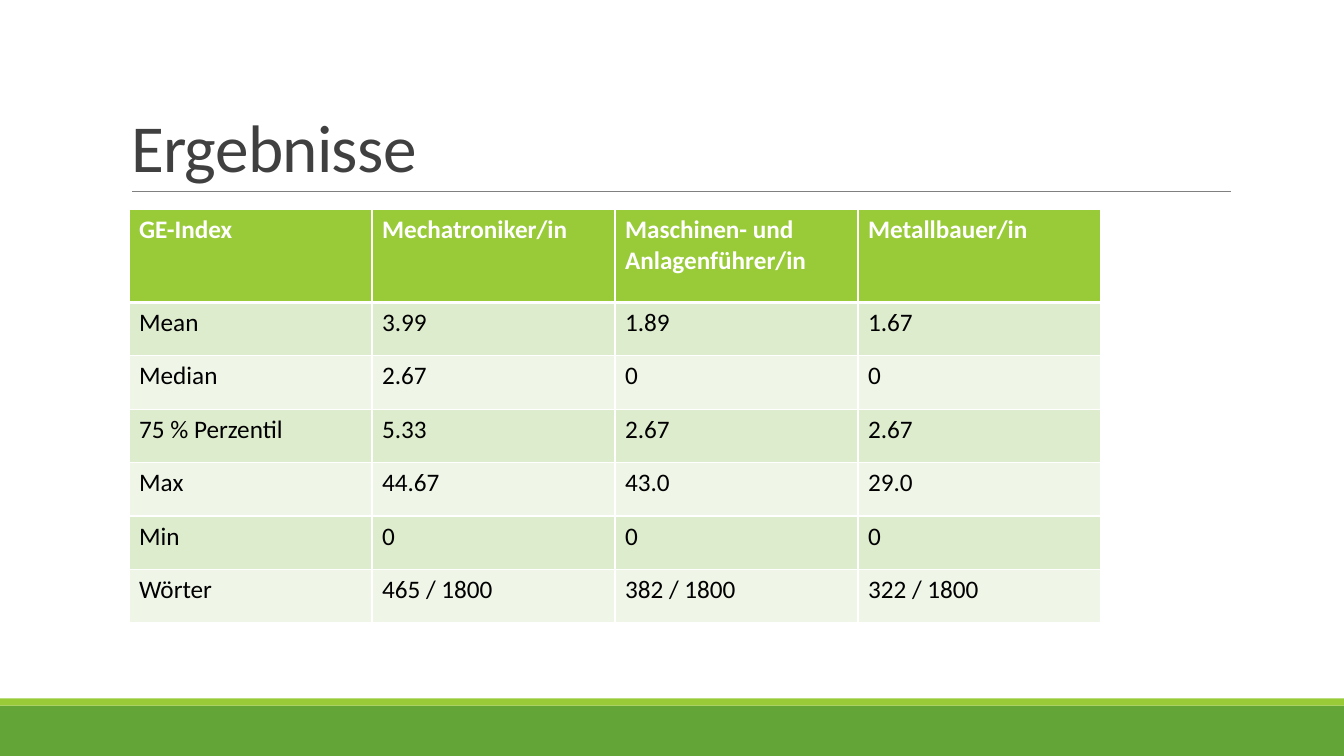
from lxml import etree
from pptx import Presentation
from pptx.dml.color import RGBColor
from pptx.enum.shapes import MSO_CONNECTOR, MSO_SHAPE
from pptx.enum.text import MSO_ANCHOR, MSO_AUTO_SIZE, PP_ALIGN
from pptx.oxml.ns import qn
from pptx.util import Inches, Pt

TITLE = "Ergebnisse"
ROWS = [
    ("GE-Index", "Mechatroniker/in", "Maschinen- und Anlagenführer/in", "Metallbauer/in"),
    ("Mean", "3.99", "1.89", "1.67"),
    ("Median", "2.67", "0", "0"),
    ("75 % Perzentil", "5.33", "2.67", "2.67"),
    ("Max", "44.67", "43.0", "29.0"),
    ("Min", "0", "0", "0"),
    ("Wörter", "465 / 1800", "382 / 1800", "322 / 1800"),
]

GREEN = RGBColor(0x63, 0xA5, 0x37)
LIME = RGBColor(0x99, 0xCB, 0x38)
BANDS = (RGBColor(0xEF, 0xF6, 0xE8), RGBColor(0xDE, 0xEC, 0xCE))
GRAY = RGBColor(0x80, 0x80, 0x80)
DARK = RGBColor(0x40, 0x40, 0x40)
WHITE = RGBColor(0xFF, 0xFF, 0xFF)
BLACK = RGBColor(0, 0, 0)

RECT = MSO_SHAPE.RECTANGLE
STRAIGHT = MSO_CONNECTOR.STRAIGHT
LEFT = PP_ALIGN.LEFT
BOTTOM = MSO_ANCHOR.BOTTOM
NO_FIT = MSO_AUTO_SIZE.NONE

WIDTH, HEIGHT = 13.33, 7.5
BARS = [(7, 0.5, GREEN), (6.93, 0.07, LIME)]
HEAD_H, ROW_H, COL_W = 0.92, 0.53, 2.41
TITLE_FONT = {"name": "Calibri", "size": Pt(48), "bold": False}
HEAD_FONT = {"name": "Calibri", "size": Pt(18), "bold": True}
BODY_FONT = {**HEAD_FONT, "bold": False}


def style(font, values, color):
    for key, value in values.items():
        setattr(font, key, value)
    font.color.rgb = color


def add_bar(slide, top, height, color):
    bar = slide.shapes.add_shape(RECT, 0, Inches(top), Inches(WIDTH), Inches(height))
    bar.shadow.inherit = False
    bar.fill.solid()
    bar.fill.fore_color.rgb = color
    bar.line.fill.background()


def add_rule(slide):
    rule = slide.shapes.add_connector(
        STRAIGHT, Inches(1.31), Inches(1.9), Inches(12.21), Inches(1.9))
    rule.line.color.rgb = GRAY
    rule.line.width = Pt(0.5)
    etree.SubElement(rule.element.spPr, qn("a:effectLst"))


def set_title(slide):
    title = slide.shapes.title
    title.left, title.top = Inches(1.2), Inches(0.31)
    title.width, title.height = Inches(11), Inches(1.59)
    frame = title.text_frame
    frame.text = TITLE
    frame.word_wrap = True
    frame.auto_size = NO_FIT
    frame.vertical_anchor = BOTTOM
    para = frame.paragraphs[0]
    para.alignment = LEFT
    para.line_spacing = 0.85
    font = para.runs[0].font
    style(font, TITLE_FONT, DARK)
    para.runs[0].font._element.set("spc", "-50")


def add_edges(cell, row):
    props = cell._tc.get_or_add_tcPr()
    thick = {0: "lnB", 1: "lnT"}.get(row)
    for side in ("lnL", "lnR", "lnT", "lnB"):
        width = Pt(3 if side == thick else 1)
        edge = etree.SubElement(props, qn(f"a:{side}"), w=str(width))
        fill = etree.SubElement(edge, qn("a:solidFill"))
        etree.SubElement(fill, qn("a:srgbClr"), val=str(WHITE))


def add_grid(slide):
    count = len(ROWS[0])
    total = HEAD_H + ROW_H * (len(ROWS) - 1)
    grid = slide.shapes.add_table(
        len(ROWS), count, Inches(1.28), Inches(2.08),
        Inches(COL_W * count), Inches(total)).table
    for col in grid.columns:
        col.width = Inches(COL_W)
    for r, texts in enumerate(ROWS):
        head = r == 0
        grid.rows[r].height = Inches(HEAD_H if head else ROW_H)
        for c, text in enumerate(texts):
            cell = grid.cell(r, c)
            add_edges(cell, r)
            cell.fill.solid()
            cell.fill.fore_color.rgb = LIME if head else BANDS[r % 2]
            cell.text = text
            font = cell.text_frame.paragraphs[0].runs[0].font
            style(font, HEAD_FONT if head else BODY_FONT, WHITE if head else BLACK)


def main():
    deck = Presentation()
    deck.slide_width, deck.slide_height = Inches(WIDTH), Inches(HEIGHT)
    slide = deck.slides.add_slide(deck.slide_layouts[5])
    for bar in BARS:
        add_bar(slide, *bar)
    add_rule(slide)
    set_title(slide)
    add_grid(slide)
    deck.save("out.pptx")


if __name__ == "__main__":
    main()
